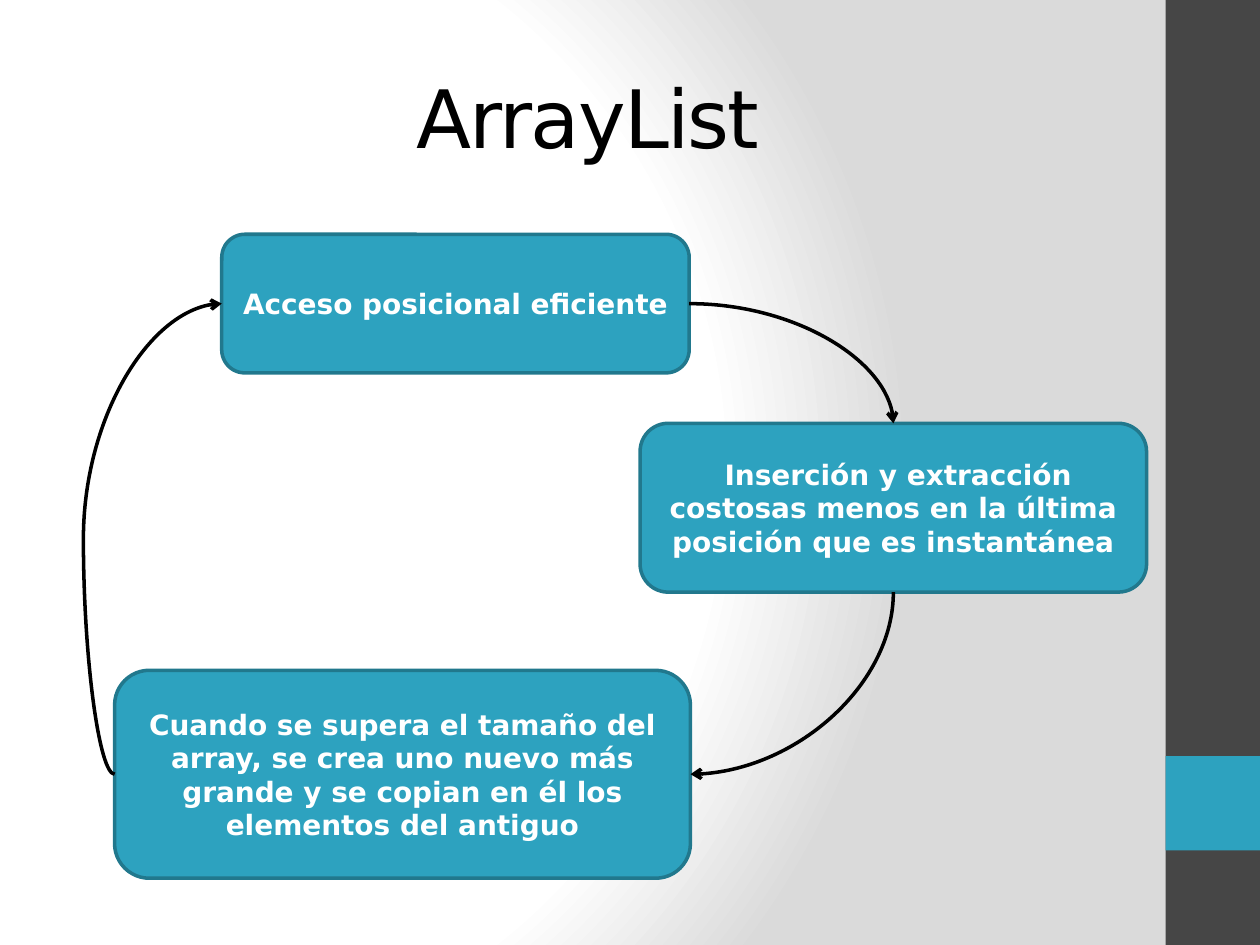
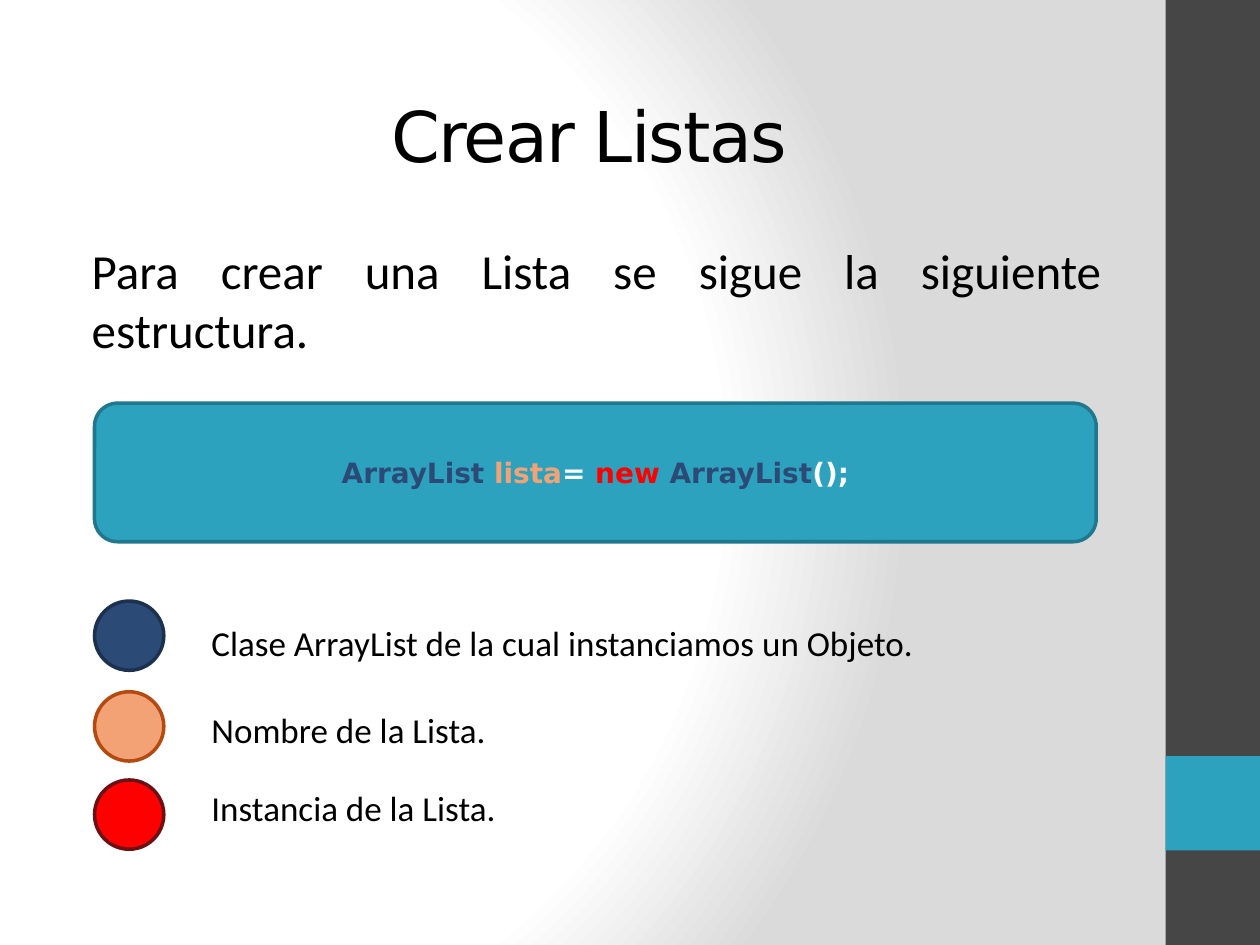
"""Build two slides on ArrayList: its traits as a cycle, and how a list is created."""
from lxml import etree
from pptx import Presentation, util as u
from pptx.dml.color import RGBColor
from pptx.enum import shapes, text
from pptx.oxml.ns import qn

WHITE = RGBColor(0xFF, 0xFF, 0xFF)
BLACK = RGBColor(0x00, 0x00, 0x00)
MIST = RGBColor(0xDA, 0xDA, 0xDA)
CHARCOAL = RGBColor(0x46, 0x46, 0x46)
TEAL = RGBColor(0x2D, 0xA2, 0xBF)
DARK_TEAL = RGBColor(0x21, 0x78, 0x8D)
NAVY = RGBColor(0x2B, 0x4A, 0x76)
DARK_NAVY = RGBColor(0x1C, 0x31, 0x4E)
PEACH = RGBColor(0xF3, 0xA2, 0x76)
RUST = RGBColor(0xB5, 0x4A, 0x10)
RED = RGBColor(0xFF, 0x00, 0x00)
DARK_RED = RGBColor(0x6D, 0x10, 0x14)
HEADING_FONT, BODY_FONT = "DejaVu Sans", "Calibri"
COLUMNS, ROWS = 40, 30
CELL = u.Inches(0.25)
TOP, LEFT, BOTTOM, RIGHT = range(4)
RECTANGLE = shapes.MSO_SHAPE.RECTANGLE
ROUNDED = shapes.MSO_SHAPE.ROUNDED_RECTANGLE
OVAL = shapes.MSO_SHAPE.OVAL


def add_shape(slide, preset, frame, fill, outline=None):
    shape = slide.shapes.add_shape(preset, *(int(cells * CELL) for cells in frame))
    shape.shadow.inherit = False
    shape.fill.solid()
    shape.fill.fore_color.rgb = fill
    if outline is None:
        shape.line.fill.background()
    else:
        shape.line.color.rgb = outline
        shape.line.width = u.Pt(2)
    return shape


def write(shape, runs, font, size, align, anchor=text.MSO_ANCHOR.MIDDLE, bold=False):
    frame = shape.text_frame
    frame.word_wrap = True
    frame.vertical_anchor = anchor
    paragraph = frame.paragraphs[0]
    paragraph.alignment = align
    paragraph.font.name = font
    paragraph.font.size = u.Pt(size)
    paragraph.font.bold = bold
    for words, color in runs:
        run = paragraph.add_run()
        run.text = words
        run.font.color.rgb = color
    return paragraph


presentation = Presentation()
presentation.slide_width = COLUMNS * CELL
presentation.slide_height = ROWS * CELL

master = presentation.slide_master
master.background.fill.gradient()
gradient = master.element.find(".//" + qn("a:gradFill"))
for child in list(gradient):
    gradient.remove(child)
stops = etree.SubElement(gradient, qn("a:gsLst"))
for percent, color in ((0, WHITE), (75, WHITE), (100, MIST)):
    stop = etree.SubElement(stops, qn("a:gs"), pos=str(percent * 1000))
    etree.SubElement(stop, qn("a:srgbClr"), val=str(color))
circle = etree.SubElement(gradient, qn("a:path"), path="circle")
etree.SubElement(circle, qn("a:fillToRect"), l="20000", t="50000", r="100000", b="50000")

slides = []
for title, left, top, size in (("ArrayList", 2, 1.2, 46), ("Crear Listas", 2.04, 1.76, 40)):
    slide = presentation.slides.add_slide(presentation.slide_layouts[6])
    add_shape(slide, RECTANGLE, (37, 0, 3, ROWS), CHARCOAL)
    add_shape(slide, RECTANGLE, (37, 24, 3, 3), TEAL)
    heading = slide.shapes.add_textbox(*(int(n * CELL) for n in (left, top, 33.32, 5)))
    paragraph = write(heading, [(title, BLACK)], HEADING_FONT, size, text.PP_ALIGN.CENTER)
    paragraph.runs[0].font._element.set("spc", "-100")
    slides.append(slide)
cycle_slide, creation_slide = slides

traits = (
    ("Acceso posicional eficiente", (7.04, 7.44, 14.84, 4.4)),
    (" Inserción y extracción costosas menos en la última posición que es instantánea",
     (20.32, 13.44, 16.08, 5.36)),
    ("Cuando se supera el tamaño del array, se crea uno nuevo más grande y se copian "
     "en él los elementos del antiguo", (3.64, 21.28, 18.28, 6.6)),
)
boxes = []
for words, frame in traits:
    box = add_shape(cycle_slide, ROUNDED, frame, TEAL, DARK_TEAL)
    write(box, [(words, WHITE)], HEADING_FONT, 16, text.PP_ALIGN.CENTER, bold=True)
    boxes.append(box)
access, insertion, growth = boxes

for start, start_side, end, end_side, preset in (
    (access, RIGHT, insertion, TOP, "curvedConnector2"),
    (insertion, BOTTOM, growth, RIGHT, "curvedConnector2"),
    (growth, LEFT, access, LEFT, "curvedConnector3"),
):
    arrow = cycle_slide.shapes.add_connector(shapes.MSO_CONNECTOR.CURVE, 0, 0, 0, 0)
    arrow.begin_connect(start, start_side)
    arrow.end_connect(end, end_side)
    arrow.line.color.rgb = BLACK
    arrow.line.width = u.Pt(2)
    properties = arrow.element.spPr
    etree.SubElement(properties.find(qn("a:ln")), qn("a:tailEnd"), type="arrow")
    etree.SubElement(properties, qn("a:effectLst"))
    geometry = properties.find(qn("a:prstGeom"))
    geometry.set("prst", preset)
    if start_side == BOTTOM:
        width, height = arrow.width, arrow.height
        arrow.left += (width - height) // 2
        arrow.top += (height - width) // 2
        arrow.width, arrow.height = height, width
        transform = properties.find(qn("a:xfrm"))
        transform.attrib.pop("flipH", None)
        transform.set("rot", str(90 * 60000))
    elif start_side == end_side:
        adjustments = geometry.find(qn("a:avLst"))
        if adjustments is None:
            adjustments = etree.SubElement(geometry, qn("a:avLst"))
        etree.SubElement(adjustments, qn("a:gd"), name="adj1", fmla="val -29200")

code = add_shape(creation_slide, ROUNDED, (3, 12.8, 31.8, 4.4), TEAL, DARK_TEAL)
write(code, [("ArrayList ", NAVY), ("lista", PEACH), ("= ", WHITE), ("new ", RED),
             ("ArrayList", NAVY), ("();", WHITE)],
      HEADING_FONT, 16, text.PP_ALIGN.CENTER, bold=True)

for top, fill, outline in ((19.08, NAVY, DARK_NAVY), (21.96, PEACH, RUST), (24.76, RED, DARK_RED)):
    add_shape(creation_slide, OVAL, (3, top, 2.2, 2.2), fill, outline)

for words, size, frame in (
    ("Para crear una Lista se sigue la siguiente estructura.", 28, (2.04, 7.44, 33.32, 3.92)),
    ("Clase ArrayList de la cual instanciamos un Objeto.", 20, (5.84, 19.52, 28.96, 1.96)),
    ("Nombre de la Lista.", 20, (5.84, 22.28, 28.96, 1.96)),
    ("Instancia de la Lista.", 20, (5.84, 24.76, 28.96, 1.96)),
):
    label = creation_slide.shapes.add_textbox(*(int(n * CELL) for n in frame))
    paragraph = write(label, [(words, BLACK)], BODY_FONT, size, text.PP_ALIGN.JUSTIFY,
                      text.MSO_ANCHOR.TOP)
    paragraph.space_before = u.Pt(size * 0.2)
    paragraph._p.get_or_add_pPr().set("marL", str(u.Inches(0.12)))

presentation.save("out.pptx")
